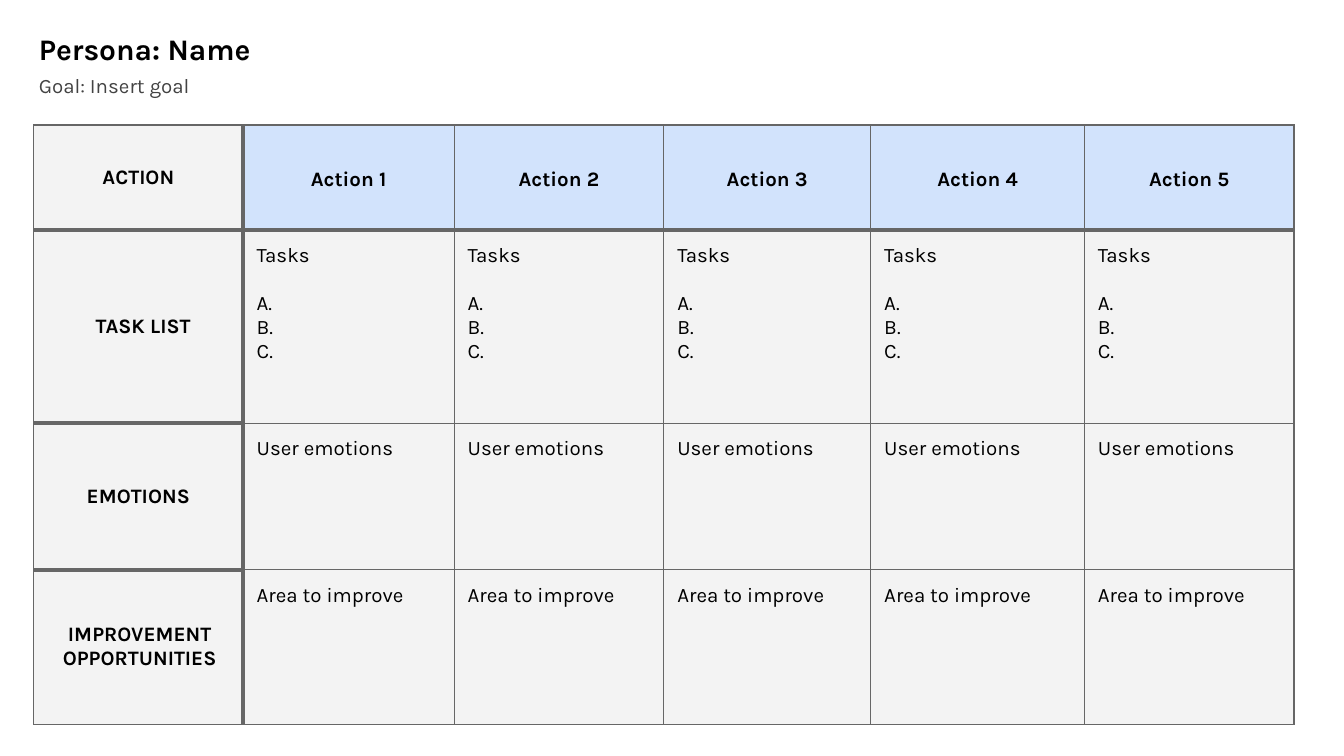
from dataclasses import dataclass

from lxml.etree import SubElement
from pptx import Presentation
from pptx.dml.color import RGBColor
from pptx.enum.text import MSO_ANCHOR as Anchor, PP_ALIGN as Align
from pptx.oxml.ns import qn
from pptx.util import Inches, Pt

BLACK = RGBColor(0x00, 0x00, 0x00)
DARK_GRAY = RGBColor(0x43, 0x43, 0x43)
BORDER_GRAY = RGBColor(0x66, 0x66, 0x66)
LIGHT_GRAY = RGBColor(0xF3, 0xF3, 0xF3)
LIGHT_BLUE = RGBColor(0xD2, 0xE3, 0xFC)

FONT = "Karla"
THIN, THICK = Pt(0.75), Pt(2.25)
MARGIN = Inches(0.1)
COLUMN_WIDTHS = (1.56, 1.57, 1.56, 1.54, 1.59, 1.56)
ACTION_COUNT = len(COLUMN_WIDTHS) - 1


@dataclass(frozen=True)
class Stage:
    label: str
    height: float
    entries: list[list[str]]  # one list of lines per action
    is_header: bool = False
    margin_left: float = 0.1
    indent: float = 0
    hanging: float = 0


STAGES = [
    Stage("ACTION", 0.78, [[f"Action {n}"] for n in range(1, ACTION_COUNT + 1)], is_header=True),
    Stage("TASK LIST", 1.44, [["Tasks", "A.", "B.", "C."]] * ACTION_COUNT,
          indent=0.19, hanging=-0.12),
    Stage("EMOTIONS", 1.09, [["User emotions"]] * ACTION_COUNT),
    Stage("IMPROVEMENT OPPORTUNITIES", 1.15, [["Area to improve"]] * ACTION_COUNT,
          margin_left=0.12),
]


def write(frame, lines: list[str], *, size: float = 11, color: RGBColor = BLACK,
          bold: bool = False, align: Align = Align.LEFT, spacing: float = 1.0,
          first_gap: float = 0, indent: float = 0, hanging: float = 0) -> None:
    """Fill a text frame; first_gap is the space in points after line one."""
    for number, line in enumerate(lines):
        paragraph = frame.add_paragraph() if number else frame.paragraphs[0]
        paragraph.alignment = align
        paragraph.line_spacing = spacing
        paragraph.space_before = Pt(0)
        paragraph.space_after = Pt(0 if number else first_gap)
        if indent:
            properties = paragraph._p.get_or_add_pPr()
            properties.set("marL", str(Inches(indent)))
            properties.set("indent", str(Inches(hanging)))
        run = paragraph.add_run()
        run.text = line
        run.font.name = FONT
        run.font.size = Pt(size)
        run.font.bold = bold
        run.font.color.rgb = color


def add_heading(slide, text: str, left: float, top: float, width: float, height: float,
                **text_format) -> None:
    frame = slide.shapes.add_textbox(
        Inches(left), Inches(top), Inches(width), Inches(height)).text_frame
    frame.word_wrap = True
    frame.margin_left = frame.margin_right = MARGIN
    frame.margin_top = frame.margin_bottom = MARGIN
    write(frame, [text], **text_format)


def row_rule(row: int, column: int) -> Pt:
    """Width of the rule below a row; row -1 is the table's top edge."""
    is_inner = 0 <= row < len(STAGES) - 1
    return THICK if is_inner and (row == 0 or column == 0) else THIN


def set_borders(cell, row: int, column: int) -> None:
    widths = {
        "a:lnL": THICK if column == 1 else THIN,
        "a:lnR": THICK if column == 0 else THIN,
        "a:lnT": row_rule(row - 1, column),
        "a:lnB": row_rule(row, column),
    }
    properties = cell._tc.get_or_add_tcPr()
    for tag, width in widths.items():
        line = SubElement(properties, qn(tag), w=str(width))
        fill = SubElement(line, qn("a:solidFill"))
        SubElement(fill, qn("a:srgbClr"), val=str(BORDER_GRAY))


def fill_cell(cell, stage: Stage, row: int, column: int) -> None:
    is_label = column == 0
    is_title = is_label or stage.is_header
    set_borders(cell, row, column)
    cell.fill.solid()
    cell.fill.fore_color.rgb = LIGHT_BLUE if stage.is_header and not is_label else LIGHT_GRAY
    cell.margin_left = Inches(stage.margin_left) if is_label else MARGIN
    cell.margin_right = cell.margin_top = cell.margin_bottom = MARGIN
    cell.vertical_anchor = Anchor.MIDDLE if is_title else Anchor.TOP
    lines = [stage.label] if is_label else stage.entries[column - 1]
    write(cell.text_frame, lines, bold=is_title,
          align=Align.CENTER if is_title else Align.LEFT,
          spacing=1.15 if stage.is_header and not is_label else 1.0,
          first_gap=12.9 if len(lines) > 1 else 0,
          indent=stage.indent if is_label else 0,
          hanging=stage.hanging if is_label else 0)


def add_journey_table(slide, left: float, top: float) -> None:
    table = slide.shapes.add_table(
        len(STAGES), len(COLUMN_WIDTHS), Inches(left), Inches(top),
        Inches(sum(COLUMN_WIDTHS)), Inches(sum(stage.height for stage in STAGES))).table
    table.first_row = table.horz_banding = False
    for column, width in enumerate(COLUMN_WIDTHS):
        table.columns[column].width = Inches(width)
    for row, stage in enumerate(STAGES):
        table.rows[row].height = Inches(stage.height)
        for column in range(len(COLUMN_WIDTHS)):
            fill_cell(table.cell(row, column), stage, row, column)


def main() -> None:
    # Widescreen page, 16:9
    deck = Presentation()
    deck.slide_width = Inches(10)
    deck.slide_height = Inches(10 * 9 / 16)
    slide = deck.slides.add_slide(deck.slide_layouts[6])

    # Persona and goal
    add_heading(slide, "Persona: Name", 0.19, 0.13, 1.95, 0.44, size=16, bold=True)
    add_heading(slide, "Goal: Insert goal", 0.19, 0.45, 9.28, 0.3,
                color=DARK_GRAY, first_gap=3)

    # Journey map
    add_journey_table(slide, 0.25, 0.93)

    deck.save("out.pptx")


if __name__ == "__main__":
    main()
